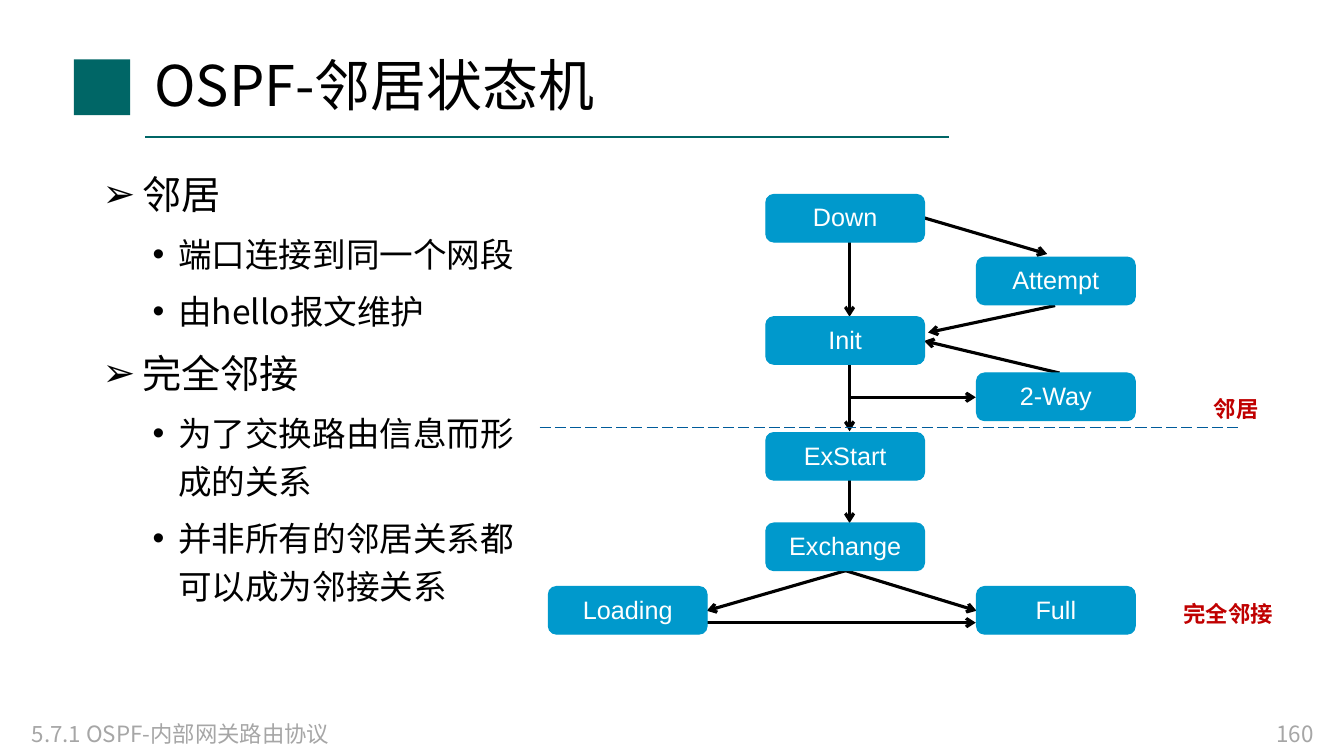
from lxml.etree import SubElement
from pptx import Presentation
from pptx.dml.color import RGBColor
from pptx.enum.dml import MSO_LINE
from pptx.enum.shapes import MSO_CONNECTOR, MSO_SHAPE
from pptx.enum.text import MSO_ANCHOR, PP_ALIGN
from pptx.oxml.ns import qn
from pptx.util import Cm, Pt

COLORS = {
    "teal": "006666",
    "state": "0099CC",
    "divider": "005B9A",
    "label": "C00000",
    "footer": "A6A6A6",
    "black": "000000",
    "white": "FFFFFF",
}
CJK_FONT = "Noto Sans CJK SC"


def style_text(para, size, color, font=CJK_FONT, bold=False):
    for span in para.runs:
        span.font.size = Pt(size)
        span.font.bold = bold
        span.font.name = font
        span.font.color.rgb = RGBColor.from_string(COLORS[color])
        SubElement(span.font._element, qn("a:ea"), typeface=CJK_FONT)


def draw_line(start, end, color, width):
    line = page.shapes.add_connector(
        MSO_CONNECTOR.STRAIGHT, *[Cm(value) for value in start + end]
    )
    line.line.color.rgb = RGBColor.from_string(COLORS[color])
    line.line.width = Pt(width)
    SubElement(line._element.spPr, qn("a:effectLst"))
    return line


deck = Presentation()
deck.slide_width, deck.slide_height = Cm(33.87), Cm(19.05)
page = deck.slides.add_slide(deck.slide_layouts[6])

emblem = page.shapes.add_shape(MSO_SHAPE.RECTANGLE, Cm(1.86), Cm(1.5), Cm(1.42), Cm(1.4))
emblem.shadow.inherit = False
emblem.fill.solid()
emblem.fill.fore_color.rgb = RGBColor.from_string(COLORS["teal"])
emblem.line.fill.background()
draw_line((3.66, 3.46), (23.92, 3.46), "teal", 1.5)

captions = [
    ("OSPF-邻居状态机", (3.64, 1.02, 22.83, 2.44), 40, "black", CJK_FONT, False, PP_ALIGN.LEFT),
    ("5.7.1 OSPF-内部网关路由协议", (0.55, 18.03, 9.02, 1.02), 16, "footer", CJK_FONT, False, PP_ALIGN.LEFT),
    ("160", (24.13, 18.03, 9.22, 1.02), 16, "footer", CJK_FONT, False, PP_ALIGN.RIGHT),
    ("邻居", (30.33, 9.83, 1.65, 0.94), 16, "label", "Arial", True, PP_ALIGN.CENTER),
    ("完全邻接", (29.56, 14.99, 2.79, 0.94), 16, "label", CJK_FONT, True, PP_ALIGN.CENTER),
]
for text, frame, size, color, font, bold, align in captions:
    box = page.shapes.add_textbox(*[Cm(value) for value in frame])
    box.text_frame.word_wrap = color != "label"
    box.text_frame.text = text
    para = box.text_frame.paragraphs[0]
    para.alignment = align
    style_text(para, size, color, font, bold)
    if size == 40:
        box.text_frame.vertical_anchor = MSO_ANCHOR.MIDDLE
        para.line_spacing = 0.9

outline = [
    (0, "邻居"),
    (1, "端口连接到同一个网段"),
    (1, "由hello报文维护"),
    (0, "完全邻接"),
    (1, "为了交换路由信息而形成的关系"),
    (1, "并非所有的邻居关系都可以成为邻接关系"),
]
levels = [("➢", 0.99, 0.99, 28), ("•", 1.9, 0.64, 24)]
box = page.shapes.add_textbox(Cm(2.34), Cm(3.94), Cm(11.48), Cm(12.75))
box.text_frame.word_wrap = True
for index, (level, text) in enumerate(outline):
    bullet, margin, hanging, size = levels[level]
    para = box.text_frame.paragraphs[0] if index == 0 else box.text_frame.add_paragraph()
    para.text = text
    para.level = level
    properties = para._p.get_or_add_pPr()
    properties.set("marL", str(Cm(margin)))
    properties.set("indent", str(-Cm(hanging)))
    SubElement(properties, qn("a:buFont"), typeface="Arial")
    SubElement(properties, qn("a:buChar"), char=bullet)
    para.line_spacing = 1.2
    if index:
        para.space_before = Pt(6)
    style_text(para, size, "black")

arrows = [
    ((21.41, 5.84), (21.41, 7.98)),
    ((17.73, 15.69), (24.59, 15.69)),
    ((21.41, 11.91), (21.41, 13.18)),
    ((21.41, 8.84), (21.41, 10.87)),
    ((23.29, 5.49), (26.39, 6.4)),
    ((26.59, 7.7), (23.39, 8.38)),
    ((26.7, 9.4), (23.29, 8.59)),
    ((21.31, 14.38), (17.81, 15.39)),
    ((21.31, 14.38), (24.61, 15.39)),
    ((21.41, 10.01), (24.59, 10.01)),
]
for start, end in arrows:
    arrow = draw_line(start, end, "black", 2.25)
    SubElement(arrow.line._get_or_add_ln(), qn("a:tailEnd"), type="arrow")

divider = draw_line((13.6, 10.78), (31.19, 10.78), "divider", 1)
divider.line.dash_style = MSO_LINE.LONG_DASH

left, middle, right = 13.82, 19.3, 24.61
states = [
    ("Down", middle, 4.9),
    ("Attempt", right, 6.48),
    ("Init", middle, 7.98),
    ("2-Way", right, 9.4),
    ("ExStart", middle, 10.9),
    ("Exchange", middle, 13.18),
    ("Loading", left, 14.78),
    ("Full", right, 14.78),
]
for name, x, y in states:
    state = page.shapes.add_shape(
        MSO_SHAPE.FLOWCHART_ALTERNATE_PROCESS, Cm(x), Cm(y), Cm(4), Cm(1.2)
    )
    state.shadow.inherit = False
    state.fill.solid()
    state.fill.fore_color.rgb = RGBColor.from_string(COLORS["state"])
    state.line.color.rgb = RGBColor.from_string(COLORS["state"])
    state.line.width = Pt(0.75)
    state.text_frame.text = name
    state.text_frame.vertical_anchor = MSO_ANCHOR.MIDDLE
    state.text_frame.margin_bottom = Cm(0.19)
    para = state.text_frame.paragraphs[0]
    para.alignment = PP_ALIGN.CENTER
    style_text(para, 18, "white", "Arial")

deck.save("out.pptx")
